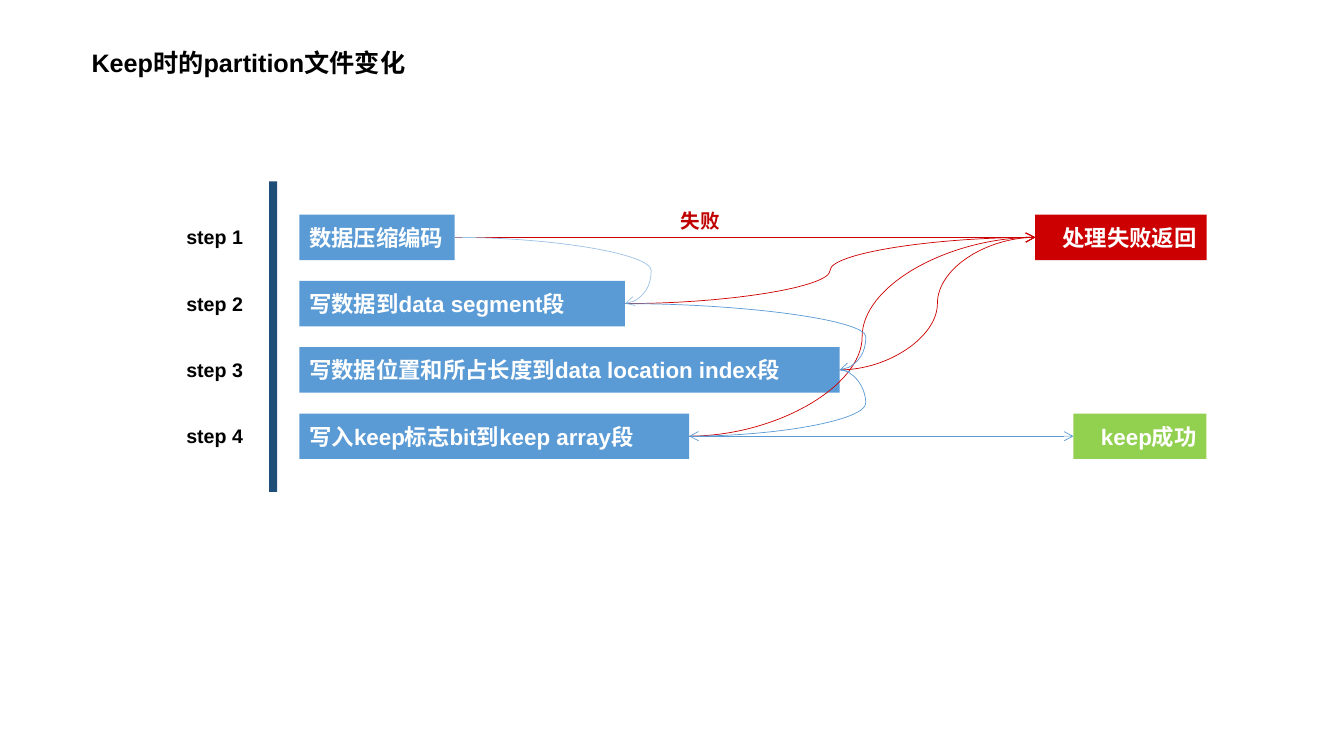
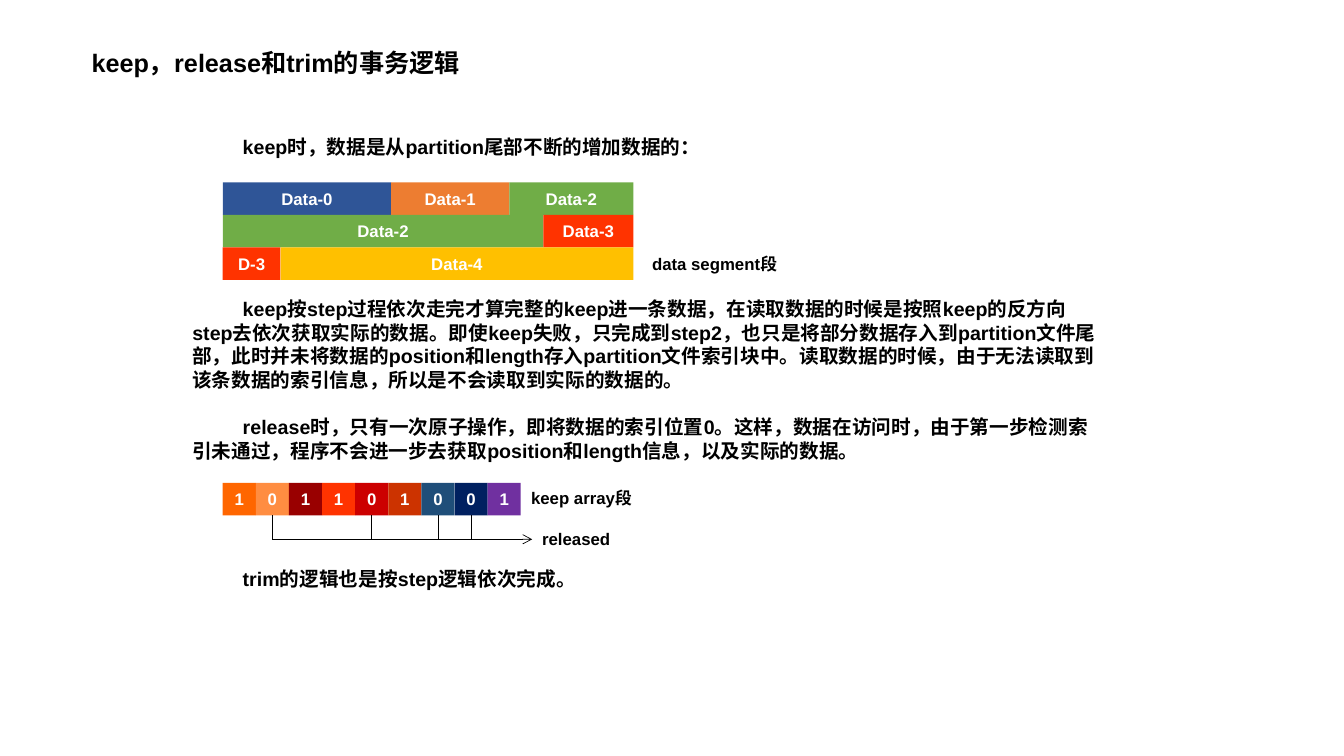
"""Build two slides on the keep, release and trim logic of a partition file."""
from typing import Any, NamedTuple

from lxml.etree import SubElement
from pptx import Presentation
from pptx.dml.color import RGBColor
from pptx.enum.lang import MSO_LANGUAGE_ID as LANGUAGE
from pptx.enum.shapes import MSO_CONNECTOR as CONNECTOR
from pptx.enum.shapes import MSO_SHAPE as SHAPE
from pptx.enum.text import MSO_ANCHOR as ANCHOR
from pptx.enum.text import PP_ALIGN as ALIGN
from pptx.oxml.ns import qn
from pptx.util import Inches, Pt

TOP, LEFT, BOTTOM, RIGHT = range(4)
COLUMNS, ROWS = 40, 30
WIDTH, HEIGHT = Inches(13.33), Inches(7.5)

BLACK, WHITE = "000000", "FFFFFF"
BLUE, PALE_BLUE, DARK_BLUE = "5B9BD5", "9DC3E6", "1F4E79"
RED, DARK_RED, SCARLET = "CC0000", "C00000", "FF3300"
LIME, GREEN = "92D050", "70AD47"


class Joint(NamedTuple):
    x: int
    y: int
    shape: Any = None
    site: int = 0


def rgb(colour):
    return RGBColor.from_string(colour)


def across(columns):
    return round(columns * WIDTH / COLUMNS)


def down(rows):
    return round(rows * HEIGHT / ROWS)


def joint(shape, site):
    x = shape.left + round(shape.width * (0.5, 0, 0.5, 1)[site])
    y = shape.top + round(shape.height * (0, 0.5, 1, 0.5)[site])
    return Joint(x, y, shape, site)


class Deck:
    font = "Arial"
    line_width = Pt(0.5)
    indent = Inches(0.5)
    paragraph_gap = Pt(17)

    def __init__(self):
        self.presentation = Presentation()
        self.presentation.slide_width = WIDTH
        self.presentation.slide_height = HEIGHT
        self.slide = None

    def add_slide(self, title):
        layout = self.presentation.slide_layouts[6]
        self.slide = self.presentation.slides.add_slide(layout)
        self.label(2.43, 1.68, 14.43, 1.6, title, 18)

    def fill_text(self, shape, texts, size, colour, align, indent=0):
        frame = shape.text_frame
        frame.word_wrap = True
        for index, text in enumerate(texts):
            paragraph = frame.add_paragraph() if index else frame.paragraphs[0]
            paragraph.alignment = align
            if index:
                paragraph.space_before = self.paragraph_gap
            if indent:
                paragraph._p.get_or_add_pPr().set("indent", str(indent))
            run = paragraph.add_run()
            run.text = text
            font = run.font
            font.name, font.size, font.bold = self.font, Pt(size), True
            font.color.rgb = rgb(colour)
            font.language_id = LANGUAGE.SIMPLIFIED_CHINESE

    def label(self, column, row, columns, rows, text, size,
              colour=BLACK, align=ALIGN.LEFT):
        shape = self.slide.shapes.add_textbox(
            across(column), down(row), across(columns), down(rows))
        self.fill_text(shape, [text], size, colour, align)
        return shape

    def body(self, row, rows, columns, *texts):
        shape = self.slide.shapes.add_textbox(
            across(5.43), down(row), across(columns), down(rows))
        self.fill_text(shape, texts, 14, BLACK, ALIGN.LEFT, self.indent)

    def box(self, column, row, columns, rows, fill, text="",
            size=16, align=ALIGN.LEFT):
        shape = self.slide.shapes.add_shape(
            SHAPE.RECTANGLE, across(column), down(row),
            across(columns), down(rows))
        shape.shadow.inherit = False
        shape.fill.solid()
        shape.fill.fore_color.rgb = rgb(fill)
        shape.line.fill.background()
        shape.text_frame.vertical_anchor = ANCHOR.MIDDLE
        if text:
            self.fill_text(shape, [text], size, WHITE, align)
        return shape

    def connector(self, kind, begin, end, colour, arrow):
        connector = self.slide.shapes.add_connector(
            kind, begin.x, begin.y, end.x, end.y)
        connector.line.width = self.line_width
        connector.line.color.rgb = rgb(colour)
        if arrow:
            outline = connector.line._get_or_add_ln()
            SubElement(outline, qn("a:tailEnd"), type="arrow")
        SubElement(connector._element.spPr, qn("a:effectLst"))
        return connector

    def line(self, begin, end, colour, arrow=True):
        connector = self.connector(
            CONNECTOR.STRAIGHT, begin, end, colour, arrow)
        if begin.shape is not None:
            connector.begin_connect(begin.shape, begin.site)
        if end.shape is not None:
            connector.end_connect(end.shape, end.site)

    def curve(self, begin, end, colour, bend=0.5):
        connector = self.connector(CONNECTOR.CURVE, begin, end, colour, True)
        geometry = connector._element.spPr.find(qn("a:prstGeom"))
        adjustments = geometry.find(qn("a:avLst"))
        if adjustments is None:
            adjustments = SubElement(geometry, qn("a:avLst"))
        SubElement(adjustments, qn("a:gd"), name="adj1",
                   fmla=f"val {round(bend * 100000)}")

    def loop(self, begin, end, colour):
        bend_x = max(begin.x, end.x) + across(0.78)
        self.curve(begin, end, colour, (bend_x - begin.x) / (end.x - begin.x))


def build_keep_steps(deck):
    deck.add_slide("Keep时的partition文件变化")
    first_row, pitch, height, right_edge = 8.52, 2.63, 1.8, 35.91
    steps = [
        ("数据压缩编码", 4.62),
        ("写数据到data segment段", 9.69),
        ("写数据位置和所占长度到data location index段", 16.08),
        ("写入keep标志bit到keep array段", 11.6),
    ]
    boxes = []
    for index, (text, columns) in enumerate(steps):
        row = first_row + index * pitch
        boxes.append(deck.box(8.91, row, columns, height, BLUE, text))
        deck.label(5.25, row + 0.22, 2.79, 1.36, f"step {index + 1}", 14)
    deck.box(8.01, 7.2, 0.24, 12.32, DARK_BLUE)

    def result(text, step, columns, fill):
        return deck.box(right_edge - columns, first_row + step * pitch,
                        columns, height, fill, text, align=ALIGN.RIGHT)

    failure = joint(result("处理失败返回", 0, 5.1, RED), LEFT)
    success = joint(result("keep成功", 3, 3.96, LIME), LEFT)
    exits = [joint(box, RIGHT) for box in boxes]

    deck.line(exits[0], failure, RED)
    for step_exit in exits[1:]:
        deck.curve(step_exit, failure, RED)
    for begin, end, colour in zip(exits, exits[1:], (PALE_BLUE, BLUE, BLUE)):
        deck.loop(begin, end, colour)
    deck.line(exits[3], success, BLUE)
    deck.label(19.8, 8.08, 2.07, 1.36, "失败", 14, DARK_RED, ALIGN.CENTER)


def build_transaction_logic(deck):
    deck.add_slide("keep，release和trim的事务逻辑")
    left, height = 6.63, 1.29
    deck.body(5.16, 1.36, 18.51, "keep时，数据是从partition尾部不断的增加数据的：")

    segment_rows = [
        [("Data-0", 5.01, "2F5597"), ("Data-1", 3.52, "ED7D31"),
         ("Data-2", 3.69, GREEN)],
        [("Data-2", 9.54, GREEN), ("Data-3", 2.68, SCARLET)],
        [("D-3", 1.72, SCARLET), ("Data-4", 10.5, "FFC000")],
    ]
    for index, segments in enumerate(segment_rows):
        column = left
        for text, columns, fill in segments:
            deck.box(column, 7.24 + index * height, columns, height,
                     fill, text, 12, ALIGN.CENTER)
            column += columns
    deck.label(19.11, 9.88, 6.9, 1.2, "data segment段", 12)

    deck.body(
        11.6, 7, 27.69,
        "keep按step过程依次走完才算完整的keep进一条数据，在读取数据的时候是按照"
        "keep的反方向step去依次获取实际的数据。即使keep失败，只完成到step2，"
        "也只是将部分数据存入到partition文件尾部，此时并未将数据的position和"
        "length存入partition文件索引块中。读取数据的时候，由于无法读取到该条数据的"
        "索引信息，所以是不会读取到实际的数据的。",
        "release时，只有一次原子操作，即将数据的索引位置0。这样，数据在访问时，"
        "由于第一步检测索引未通过，程序不会进一步去获取position和length信息，"
        "以及实际的数据。")

    bits = "101101001"
    fills = ["FF6600", "FF8D41", "990000", SCARLET, RED,
             "CC3300", DARK_BLUE, "002060", "7030A0"]
    bit_width = 8.87 / len(bits)
    released_exits = []
    for index, (bit, fill) in enumerate(zip(bits, fills)):
        cell = deck.box(left + index * bit_width, 19.16, bit_width, height,
                        fill, bit, 12, ALIGN.CENTER)
        if bit == "0":
            released_exits.append(joint(cell, BOTTOM))
    deck.label(15.51, 19.16, 6.9, 1.2, "keep array段", 12)

    released = joint(deck.label(15.84, 20.8, 3.99, 1.2, "released", 12), LEFT)
    for cell_exit in released_exits:
        deck.line(cell_exit, Joint(cell_exit.x, released.y), BLACK, False)
    deck.line(Joint(released_exits[0].x, released.y), released, BLACK)
    deck.body(22.32, 1.36, 18.51, "trim的逻辑也是按step逻辑依次完成。")


def main():
    deck = Deck()
    build_keep_steps(deck)
    build_transaction_logic(deck)
    deck.presentation.save("out.pptx")


if __name__ == "__main__":
    main()
